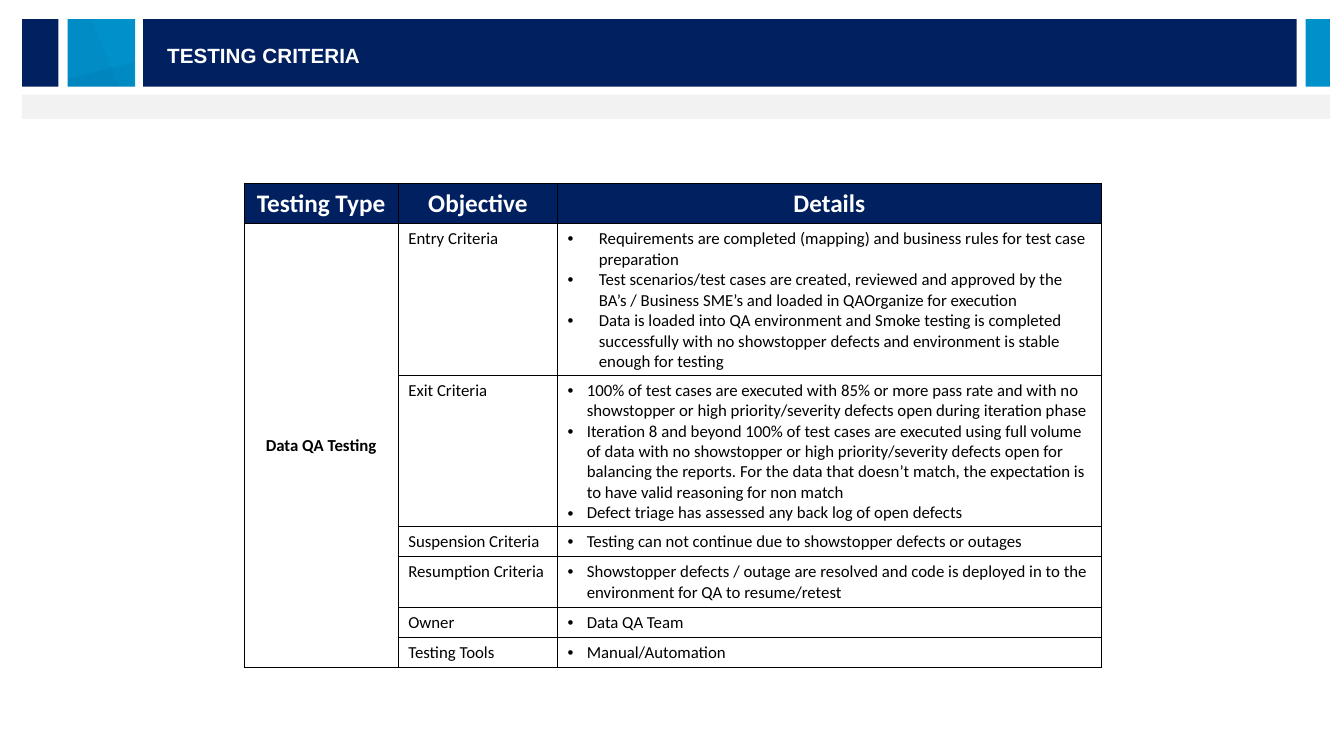
import pptx
import pptx.dml.color
import pptx.enum.shapes
import pptx.enum.text
import pptx.oxml
import pptx.oxml.ns
import pptx.util
from pptx.util import Inches

NAVY, BLUE, GRAY = "002060", "0091CB", "F2F2F2"
MIDDLE = pptx.enum.text.MSO_ANCHOR.MIDDLE
TOP = pptx.enum.text.MSO_ANCHOR.TOP
CENTER = pptx.enum.text.PP_ALIGN.CENTER
LEFT = pptx.enum.text.PP_ALIGN.LEFT
NAMESPACE = pptx.oxml.ns.nsdecls("a")


def paint(color_format, color):
    color_format.rgb = pptx.dml.color.RGBColor.from_string(color)


def write(frame, text, size=12, font="Calibri", color="000000", bold=False, align=LEFT, indent=None):
    for index, line in enumerate(text.split("\n")):
        paragraph = frame.add_paragraph() if index else frame.paragraphs[0]
        paragraph.text = line
        paragraph.alignment = align
        if indent:
            properties = paragraph._p.get_or_add_pPr()
            properties.set("marL", str(Inches(indent)))
            properties.set("indent", str(-Inches(indent)))
            properties.append(pptx.oxml.parse_xml(f'<a:buFont {NAMESPACE} typeface="Arial"/>'))
            properties.append(pptx.oxml.parse_xml(f'<a:buChar {NAMESPACE} char="•"/>'))
        run_font = paragraph.runs[0].font
        run_font.size = pptx.util.Pt(size)
        run_font.name = font
        run_font.bold = bold
        paint(run_font.color, color)


presentation = pptx.Presentation()
presentation.slide_width = Inches(13.33)
presentation.slide_height = Inches(7.5)
slide = presentation.slides.add_slide(presentation.slide_layouts[6])

bars = [
    (1.42, 0.19, 11.44, 0.67, NAVY),
    (0.67, 0.19, 0.67, 0.67, BLUE),
    (0.22, 0.19, 0.36, 0.67, NAVY),
    (12.95, 0.19, 0.24, 0.67, BLUE),
    (0.22, 0.94, 12.97, 0.24, GRAY),
]
for left, top, width, height, color in bars:
    bar = slide.shapes.add_shape(
        pptx.enum.shapes.MSO_SHAPE.RECTANGLE, Inches(left), Inches(top), Inches(width), Inches(height))
    bar.shadow.inherit = False
    bar.fill.solid()
    paint(bar.fill.fore_color, color)
    bar.line.fill.background()

facets = [
    ([(0.67, 0.19), (0.91, 0.19), (1.18, 0.86), (0.67, 0.86)], "17375E", 5),
    ([(1.32, 0.62), (0.68, 0.78), (0.68, 0.86), (1.32, 0.86)], NAVY, 6),
]
for corners, color, opacity in facets:
    points = [(Inches(x), Inches(y)) for x, y in corners]
    builder = slide.shapes.build_freeform(*points[0])
    builder.add_line_segments(points[1:], close=True)
    facet = builder.convert_to_shape()
    facet.shadow.inherit = False
    facet.fill.solid()
    paint(facet.fill.fore_color, color)
    facet.line.fill.background()
    color_element = facet._element.spPr.find(".//" + pptx.oxml.ns.qn("a:srgbClr"))
    color_element.append(pptx.oxml.parse_xml(f'<a:alpha {NAMESPACE} val="{opacity * 1000}"/>'))

title = slide.shapes.add_textbox(Inches(1.56), Inches(0.38), Inches(8.22), Inches(0.33))
title.text_frame.word_wrap = True
title.text_frame.vertical_anchor = MIDDLE
write(title.text_frame, "TESTING CRITERIA", size=14.7, font="Arial", color="FFFFFF", bold=True)

headings = ["Testing Type", "Objective", "Details"]
criteria = [
    ("Entry Criteria", TOP, 0.31,
     "Requirements are completed (mapping) and business rules for test case preparation\n"
     "Test scenarios/test cases are created, reviewed and approved by the BA’s / Business SME’s "
     "and loaded in QAOrganize for execution\n"
     "Data is loaded into QA environment and Smoke testing is completed successfully with no "
     "showstopper defects and environment is stable enough for testing"),
    ("Exit Criteria", TOP, 0.19,
     "100% of test cases are executed with 85% or more pass rate and with no showstopper or "
     "high priority/severity defects open during iteration phase\n"
     "Iteration 8 and beyond 100% of test cases are executed using full volume of data with no "
     "showstopper or high priority/severity defects open for balancing the reports. For the data "
     "that doesn’t match, the expectation is to have valid reasoning for non match\n"
     "Defect triage has assessed any back log of open defects"),
    ("Suspension Criteria", TOP, 0.19,
     "Testing can not continue due to showstopper defects or outages"),
    ("Resumption Criteria", MIDDLE, 0.19,
     "Showstopper defects / outage are resolved and code is deployed in to the environment "
     "for QA to resume/retest"),
    ("Owner", MIDDLE, 0.19, "Data QA Team"),
    ("Testing Tools", MIDDLE, 0.19, "Manual/Automation"),
]
column_widths = [1.53, 1.58, 5.39]
row_heights = [0.4, 1.5, 1.5, 0.3, 0.5, 0.3, 0.3]
table = slide.shapes.add_table(
    len(row_heights), len(column_widths), Inches(2.42), Inches(1.82), Inches(8.5), Inches(4.8)).table
table.first_row = False
table.horz_banding = False
for column, width in zip(table.columns, column_widths):
    column.width = Inches(width)
for row_index, (row, height) in enumerate(zip(table.rows, row_heights)):
    row.height = Inches(height)
    for cell in row.cells:
        for side in "LRTB":
            thick = (row_index, side) in [(0, "B"), (1, "T")]
            line_width = pptx.util.Pt(1 if thick else 0.25)
            cell._tc.get_or_add_tcPr().append(pptx.oxml.parse_xml(
                f'<a:ln{side} {NAMESPACE} w="{line_width}"><a:solidFill>'
                f'<a:srgbClr val="000000"/></a:solidFill></a:ln{side}>'))
        if row_index == 0:
            cell.fill.solid()
            paint(cell.fill.fore_color, NAVY)
        else:
            cell.fill.background()

for column_index, heading in enumerate(headings):
    cell = table.cell(0, column_index)
    cell.vertical_anchor = MIDDLE
    write(cell.text_frame, heading, size=18, color="FFFFFF", bold=True, align=CENTER)

testing_type = table.cell(1, 0)
testing_type.merge(table.cell(len(criteria), 0))
testing_type.vertical_anchor = MIDDLE
write(testing_type.text_frame, "Data QA Testing", bold=True, align=CENTER)

for row_index, (objective, anchor, indent, details) in enumerate(criteria, 1):
    write(table.cell(row_index, 1).text_frame, objective)
    details_cell = table.cell(row_index, 2)
    details_cell.vertical_anchor = anchor
    write(details_cell.text_frame, details, indent=indent)

presentation.save("out.pptx")
